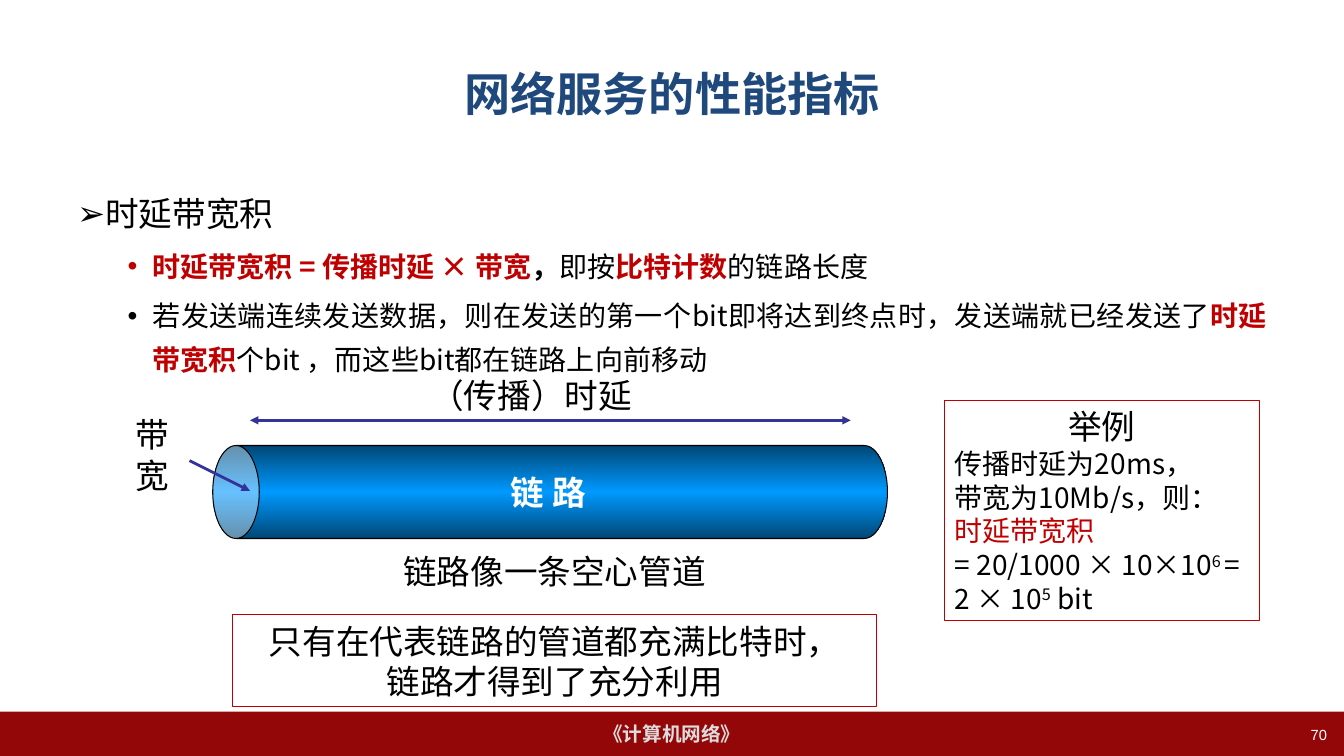
"""Build the slide on the delay-bandwidth product of a link."""
from dataclasses import dataclass

from lxml.etree import SubElement
from pptx import Presentation
from pptx.dml.color import RGBColor
from pptx.enum.shapes import MSO_CONNECTOR as Connector, MSO_SHAPE as Preset
from pptx.enum.text import MSO_ANCHOR as Anchor, PP_ALIGN as Align
from pptx.oxml import parse_xml
from pptx.oxml.ns import nsdecls, qn
from pptx.util import Inches, Pt

WIDTH, HEIGHT = Inches(13.33), Inches(7.5)


@dataclass(frozen=True)
class Theme:
    """Colours, fonts and type sizes of the slide."""
    title: str = "1F497D"
    text: str = "000000"
    accent: str = "C00000"
    arrow: str = "333399"
    footer: str = "940709"
    footer_text: str = "DDDDDD"
    white: str = "FFFFFF"
    pipe_edge: str = "004776"
    pipe_middle: str = "0099FF"
    font: str = "Noto Sans CJK SC"
    latin: str = "Arial"
    title_size: float = 33
    large: float = 24
    medium: float = 20
    small: float = 14
    number: float = 10.5


THEME = Theme()


def grid(left, top, width, height):
    """Turn cells of a 100 by 100 grid into slide lengths."""
    return [int(cells * side / 100) for cells, side in
            zip((left, top, width, height), (WIDTH, HEIGHT, WIDTH, HEIGHT))]


def set_font(paragraph, size, color=THEME.text, bold=False, name=THEME.font):
    """Format a whole paragraph, East Asian text included."""
    font = paragraph.font
    font.size, font.bold, font.name = Pt(size), bold, name
    font.color.rgb = RGBColor.from_string(color)
    properties = paragraph._p.pPr.find(qn("a:defRPr"))
    east_asian = SubElement(properties, qn("a:ea"))
    east_asian.set("typeface", THEME.font)


def add_runs(paragraph, runs):
    """Add runs given as a string or as (text, marks) pairs."""
    for text, marks in [(runs, "")] if isinstance(runs, str) else runs:
        run = paragraph.add_run()
        run.text = text
        if "bold" in marks:
            run.font.bold = True
        if "accent" in marks:
            run.font.color.rgb = RGBColor.from_string(THEME.accent)
        if "super" in marks:
            run.font._element.set("baseline", "30000")


def write(frame, lines, size, align=Align.LEFT, **font):
    """Fill a text frame with equally formatted paragraphs."""
    frame.word_wrap = True
    for index, runs in enumerate(lines):
        paragraph = frame.paragraphs[0] if index == 0 else frame.add_paragraph()
        paragraph.alignment = align
        set_font(paragraph, size, **font)
        add_runs(paragraph, runs)


def add_label(slide, cells, text, size=THEME.large, align=Align.LEFT, **font):
    """Add a one-paragraph text box."""
    write(slide.shapes.add_textbox(*grid(*cells)).text_frame, [text], size, align, **font)


def add_bullet(frame, runs, character, margin, hanging, size, first=False):
    """Add one justified bullet paragraph."""
    paragraph = frame.paragraphs[0] if first else frame.add_paragraph()
    paragraph.alignment, paragraph.line_spacing = Align.JUSTIFY, 1.3
    if not first:
        paragraph.space_before = Pt(0.2 * size)
    properties = paragraph._p.get_or_add_pPr()
    properties.set("marL", str(Inches(margin)))
    properties.set("indent", str(-Inches(hanging)))
    SubElement(properties, qn("a:buFont")).set("typeface", THEME.latin)
    SubElement(properties, qn("a:buChar")).set("char", character)
    set_font(paragraph, size)
    add_runs(paragraph, runs)


def add_box(slide, cells, fill=None, line=None):
    """Add a rectangle with an optional fill and outline."""
    box = slide.shapes.add_shape(Preset.RECTANGLE, *grid(*cells))
    box.shadow.inherit = False
    for paint, color in ((box.fill, fill), (box.line.fill, line)):
        if color:
            paint.solid()
            paint.fore_color.rgb = RGBColor.from_string(color)
        else:
            paint.background()
    if line:
        box.line.width = Pt(0.75)
    return box


def add_pipe(slide, cells):
    """Add a lying cylinder with a gradient across it."""
    left, top, length, thickness = grid(*cells)
    shift = (length - thickness) // 2
    pipe = slide.shapes.add_shape(Preset.CAN, left + shift, top - shift, thickness, length)
    pipe.rotation = 270
    pipe.adjustments[0] = 0.5
    pipe.shadow.inherit = False
    pipe.line.color.rgb = RGBColor.from_string(THEME.text)
    pipe.line.width = Pt(0.75)
    colors = (THEME.pipe_edge, THEME.pipe_middle, THEME.pipe_edge)
    stops = "".join(f'<a:gs pos="{index * 50000}"><a:srgbClr val="{color}"/></a:gs>'
                    for index, color in enumerate(colors))
    gradient = parse_xml(f'<a:gradFill {nsdecls("a")} rotWithShape="1"><a:gsLst>{stops}'
                         '</a:gsLst><a:lin ang="0" scaled="1"/></a:gradFill>')
    pipe._element.spPr.find(qn("a:prstGeom")).addnext(gradient)


def add_arrow(slide, start, end, both=False):
    """Add a straight arrow, pointing one or both ways."""
    arrow = slide.shapes.add_connector(Connector.STRAIGHT, *grid(*start, *end))
    arrow.line.color.rgb = RGBColor.from_string(THEME.arrow)
    arrow.line.width = Pt(2)
    line = arrow.line._get_or_add_ln()
    for tag in ("a:headEnd", "a:tailEnd") if both else ("a:tailEnd",):
        SubElement(line, qn(tag)).set("type", "triangle")
    SubElement(arrow._element.spPr, qn("a:effectLst"))


def add_title(slide, cells, text):
    """Place and format the title placeholder."""
    title = slide.shapes.title
    title.left, title.top, title.width, title.height = grid(*cells)
    title.text_frame.vertical_anchor = Anchor.MIDDLE
    write(title.text_frame, [text], THEME.title_size, Align.CENTER,
          color=THEME.title, bold=True, name=THEME.latin)


def add_definition(slide):
    """Add the bullets that define the product."""
    frame = slide.shapes.add_textbox(*grid(5, 23.33, 90, 66)).text_frame
    frame.word_wrap = True
    add_bullet(frame, "时延带宽积", "➢", 0.27, 0.27, THEME.large, first=True)
    for runs in (
        [("时延带宽积 = 传播时延 × 带宽", "bold accent"), ("，", "bold"), ("即按", ""),
         ("比特计数", "bold accent"), ("的链路长度", "")],
        [("若发送端连续发送数据，则在发送的第一个bit即将达到终点时，发送端就已经发送了", ""),
         ("时延带宽积", "bold accent"), ("个bit ，而这些bit都在链路上向前移动", "")],
    ):
        add_bullet(frame, runs, "•", 0.75, 0.25, THEME.medium)


def add_link_diagram(slide):
    """Draw the link as a pipe with its two measures."""
    add_pipe(slide, (15.83, 58.93, 50.2, 12.3))
    add_arrow(slide, (18.6, 55.6), (63.3, 55.6), both=True)
    add_label(slide, (31.28, 48.93, 21.3, 6.67), "（传播）时延")
    add_label(slide, (37.28, 61.73, 9.3, 6.67), "链 路", color=THEME.white, bold=True)
    add_label(slide, (9.38, 54.13, 5.7, 12.13), "带宽")
    add_arrow(slide, (14.1, 60.93), (18.6, 64.93))
    add_label(slide, (25.5, 72.27, 31.5, 6.67), "链路像一条空心管道", align=Align.CENTER)


def add_example(slide):
    """Add the framed worked example."""
    frame = add_box(slide, (70.29, 52.93, 23.4, 29.2), line=THEME.accent).text_frame
    write(frame, ["举例", "传播时延为20ms，", "带宽为10Mb/s，则：", [("时延带宽积", "accent")],
                  [("= 20/1000 × 10×10", ""), ("6 ", "super"), ("= 2 × 10", ""),
                   ("5", "super"), (" bit", "")]], THEME.medium)
    heading = frame.paragraphs[0]
    heading.alignment, heading.font.size = Align.CENTER, Pt(THEME.large)


def main():
    """Build and save the slide."""
    presentation = Presentation()
    presentation.slide_width, presentation.slide_height = WIDTH, HEIGHT
    slide = presentation.slides.add_slide(presentation.slide_layouts[5])
    footer = add_box(slide, (0, 94.13, 100, 5.87), fill=THEME.footer)
    write(footer.text_frame, ["《计算机网络》"], THEME.small, Align.CENTER,
          color=THEME.footer_text, bold=True, name=THEME.latin)
    add_title(slide, (5, 4, 90, 16.67), "网络服务的性能指标")
    add_definition(slide)
    add_label(slide, (76.14, 95.33, 23.33, 4.67), "70", THEME.number, Align.RIGHT,
              color=THEME.white, name=THEME.latin)
    add_link_diagram(slide)
    add_example(slide)
    conclusion = add_box(slide, (17.33, 81.33, 47.86, 12.13), line=THEME.accent)
    write(conclusion.text_frame, ["只有在代表链路的管道都充满比特时，", "链路才得到了充分利用"],
          THEME.large, Align.CENTER)
    presentation.save("out.pptx")


if __name__ == "__main__":
    main()
